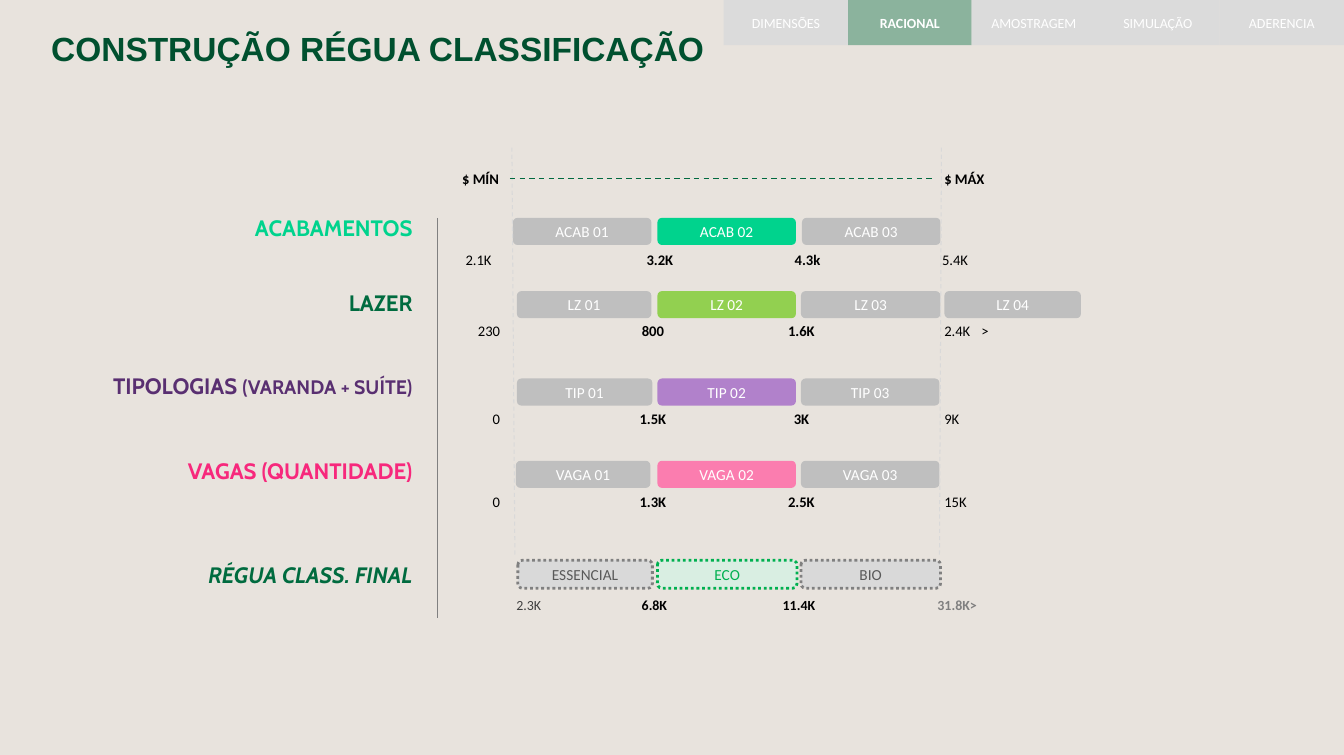
from dataclasses import dataclass
from typing import NamedTuple

from lxml import etree
from pptx import Presentation
from pptx.dml.color import RGBColor
from pptx.enum.dml import MSO_LINE
from pptx.enum.shapes import MSO_CONNECTOR, MSO_SHAPE
from pptx.enum.text import MSO_ANCHOR, MSO_AUTO_SIZE, PP_ALIGN
from pptx.oxml.ns import qn
from pptx.util import Pt

LEFT, CENTER, RIGHT = PP_ALIGN.LEFT, PP_ALIGN.CENTER, PP_ALIGN.RIGHT
MIDDLE = MSO_ANCHOR.MIDDLE
FIT_SHAPE = MSO_AUTO_SIZE.SHAPE_TO_FIT_TEXT
RECTANGLE, ROUNDED = MSO_SHAPE.RECTANGLE, MSO_SHAPE.ROUNDED_RECTANGLE
STRAIGHT = MSO_CONNECTOR.STRAIGHT
DASH, DOTS = MSO_LINE.DASH, MSO_LINE.ROUND_DOT
EMU_PER_PX = 9144
BLACK, WHITE, GRAY, SILVER = "000000", "FFFFFF", "808080", "BFBFBF"
GREEN, MINT = "006B3F", "00D38D"


class Box(NamedTuple):
    left: int
    top: int
    width: int
    height: int


class Run(NamedTuple):
    text: str
    size: float
    color: str
    bold: bool = False
    font: str = "Calibri"
    italic: bool = False


class Slot(NamedTuple):
    left: int
    align: PP_ALIGN
    bold: bool = False
    color: str = BLACK
    width: int = 125
    size: float = 10.5


class Pill(NamedTuple):
    text: str
    left: int
    width: int
    fill: str = SILVER
    color: str = WHITE
    alpha: int = 100
    border: str = ""


class Rule(NamedTuple):
    start: tuple[int, int]
    end: tuple[int, int]
    color: str
    width: float
    dashed: bool


@dataclass
class Scale:
    heading: list[Run]
    heading_top: int
    top: int
    height: int
    pills: list[Pill]
    values_top: int
    values: list[str]
    slots: list[Slot]


REGULAR_SLOTS = [Slot(383, RIGHT), Slot(588, CENTER, True), Slot(736, CENTER, True), Slot(931, LEFT)]
FINISH_SLOTS = [Slot(454, LEFT), Slot(595, CENTER, True), Slot(742, CENTER, True), Slot(889, CENTER)]
FINAL_SLOTS = [
    Slot(443, RIGHT, False, "404040", 106, 10),
    Slot(599, CENTER, True, BLACK, 106, 10),
    Slot(743, CENTER, True, BLACK, 106, 10),
    Slot(877, RIGHT, True, GRAY, 106, 10),
]


def heading(text: str, color: str, size: int = 16, italic: bool = False) -> Run:
    return Run(text, size, color, True, "Cabin", italic)


SCALES = [
    Scale([heading("ACABAMENTOS", MINT)], 209, 217, 27,
          [Pill("ACAB 01", 511, 138), Pill("ACAB 02", 655, 138, MINT), Pill("ACAB 03", 799, 138)],
          245, ["2.1K", "3.2K", "4.3k", "5.4K"], FINISH_SLOTS),
    Scale([heading("LAZER", GREEN)], 284, 290, 27,
          [Pill("LZ 01", 515, 134), Pill("LZ 02", 655, 138, "92D050"),
           Pill("LZ 03", 798, 139), Pill("LZ 04", 941, 136)],
          316, ["230", "800", "1.6K", "2.4K", ">"], REGULAR_SLOTS + [Slot(968, LEFT)]),
    Scale([heading("TIPOLOGIAS ", "592F71"), heading("(VARANDA + SUÍTE)", "592F71", 14)], 367, 377, 27,
          [Pill("TIP 01", 515, 135), Pill("TIP 02", 655, 138, "B181CB"), Pill("TIP 03", 798, 138)],
          403, ["0", "1.5K", "3K", "9K"], REGULAR_SLOTS),
    Scale([heading("VAGAS (QUANTIDADE)", "F7287C")], 451, 459, 27,
          [Pill("VAGA 01", 514, 134), Pill("VAGA 02", 655, 138, "FB7DAF"), Pill("VAGA 03", 798, 138)],
          486, ["0", "1.3K", "2.5K", "15K"], REGULAR_SLOTS),
    Scale([heading("RÉGUA CLASS. FINAL", GREEN, italic=True)], 555, 558, 28,
          [Pill("ESSENCIAL", 516, 134, "D9D9D9", "595959", border=GRAY),
           Pill("ECO", 655, 139, "C3FFEB", "00B050", 40, "00B050"),
           Pill("BIO", 798, 139, "D9D9D9", "595959", border=GRAY)],
          589, ["2.3K", "6.8K", "11.4K", "31.8K>"], FINAL_SLOTS),
]
RULES = [
    Rule((510, 147), (513, 554), "D9D9D9", 0.75, True),
    Rule((938, 147), (936, 554), "D9D9D9", 0.75, True),
    Rule((436, 217), (436, 616), GRAY, 0.75, False),
    Rule((508, 178), (931, 178), "00693E", 1, True),
]
TABS = ["DIMENSÕES", "RACIONAL", "AMOSTRAGEM", "SIMULAÇÃO", "ADERENCIA"]
ACTIVE_TAB = "RACIONAL"
TABS_LEFT, SLIDE_WIDTH, SLIDE_HEIGHT = 721, 1339, 752


def px(length: int) -> int:
    return length * EMU_PER_PX


def rgb(color: str) -> RGBColor:
    return RGBColor.from_string(color)


def write(paragraph, runs: list[Run], align: PP_ALIGN) -> None:
    paragraph.alignment = align
    for item in runs:
        run = paragraph.add_run()
        run.text = item.text
        run.font.name = item.font
        run.font.size = Pt(item.size)
        run.font.bold = item.bold
        run.font.italic = item.italic
        run.font.color.rgb = rgb(item.color)


def add_text(slide, box: Box, runs: list[Run], align: PP_ALIGN, is_heading: bool = False) -> None:
    frame = slide.shapes.add_textbox(*map(px, box)).text_frame
    frame.word_wrap = True
    frame.auto_size = FIT_SHAPE
    paragraph = frame.paragraphs[0]
    if is_heading:
        frame.margin_left = frame.margin_right = frame.margin_bottom = 0
        frame.margin_top = px(4)
        paragraph.space_before = Pt(3)
    write(paragraph, runs, align)


def add_block(slide, kind: MSO_SHAPE, box: Box, run: Run, fill: str, alpha: int = 100, border: str = "") -> None:
    shape = slide.shapes.add_shape(kind, *map(px, box))
    shape.shadow.inherit = False
    shape.fill.solid()
    shape.fill.fore_color.rgb = rgb(fill)
    if alpha < 100:
        color = shape.fill._xPr.find(qn("a:solidFill"))[0]
        etree.SubElement(color, qn("a:alpha")).set("val", str(alpha * 1000))
    if border:
        shape.line.color.rgb = rgb(border)
        shape.line.width = Pt(2)
        shape.line.dash_style = DOTS
    else:
        shape.line.fill.background()
    shape.text_frame.word_wrap = True
    shape.text_frame.vertical_anchor = MIDDLE
    write(shape.text_frame.paragraphs[0], [run], CENTER)


def add_rule(slide, rule: Rule) -> None:
    connector = slide.shapes.add_connector(STRAIGHT, *map(px, rule.start + rule.end))
    connector.line.color.rgb = rgb(rule.color)
    connector.line.width = Pt(rule.width)
    if rule.dashed:
        connector.line.dash_style = DASH
    etree.SubElement(connector._element.spPr, qn("a:effectLst"))


def add_scale(slide, scale: Scale) -> None:
    add_text(slide, Box(26, scale.heading_top, 385, 31), scale.heading, RIGHT, True)
    for pill in scale.pills:
        add_block(slide, ROUNDED, Box(pill.left, scale.top, pill.width, scale.height),
                  Run(pill.text, 11, pill.color), pill.fill, pill.alpha, pill.border)
    for value, slot in zip(scale.values, scale.slots):
        add_text(slide, Box(slot.left, scale.values_top, slot.width, 29),
                 [Run(value, slot.size, slot.color, slot.bold)], slot.align)


def add_tabs(slide) -> None:
    edges = [round(TABS_LEFT + index * (SLIDE_WIDTH - TABS_LEFT) / len(TABS)) for index in range(len(TABS) + 1)]
    for name, left, right in zip(TABS, edges, edges[1:]):
        active = name == ACTIVE_TAB
        add_block(slide, RECTANGLE, Box(left, 0, right - left, 45), Run(name, 10, WHITE, active),
                  GREEN if active else "DBDBDB", 40 if active else 100)


def main() -> None:
    presentation = Presentation()
    presentation.slide_width, presentation.slide_height = px(SLIDE_WIDTH), px(SLIDE_HEIGHT)
    slide = presentation.slides.add_slide(presentation.slide_layouts[6])
    slide.background.fill.solid()
    slide.background.fill.fore_color.rgb = rgb("E8E3DD")
    title = Run("CONSTRUÇÃO RÉGUA CLASSIFICAÇÃO", 24, "00502F", True, "Arial")
    add_text(slide, Box(51, 24, 778, 45), [title], LEFT, True)
    for scale in SCALES:
        add_scale(slide, scale)
    add_text(slide, Box(417, 164, 90, 29), [Run("$ MÍN", 10.5, BLACK, True)], RIGHT)
    add_text(slide, Box(931, 164, 67, 29), [Run("$ MÁX", 10.5, BLACK, True)], LEFT)
    for rule in RULES:
        add_rule(slide, rule)
    add_tabs(slide)
    presentation.save("out.pptx")


if __name__ == "__main__":
    main()
